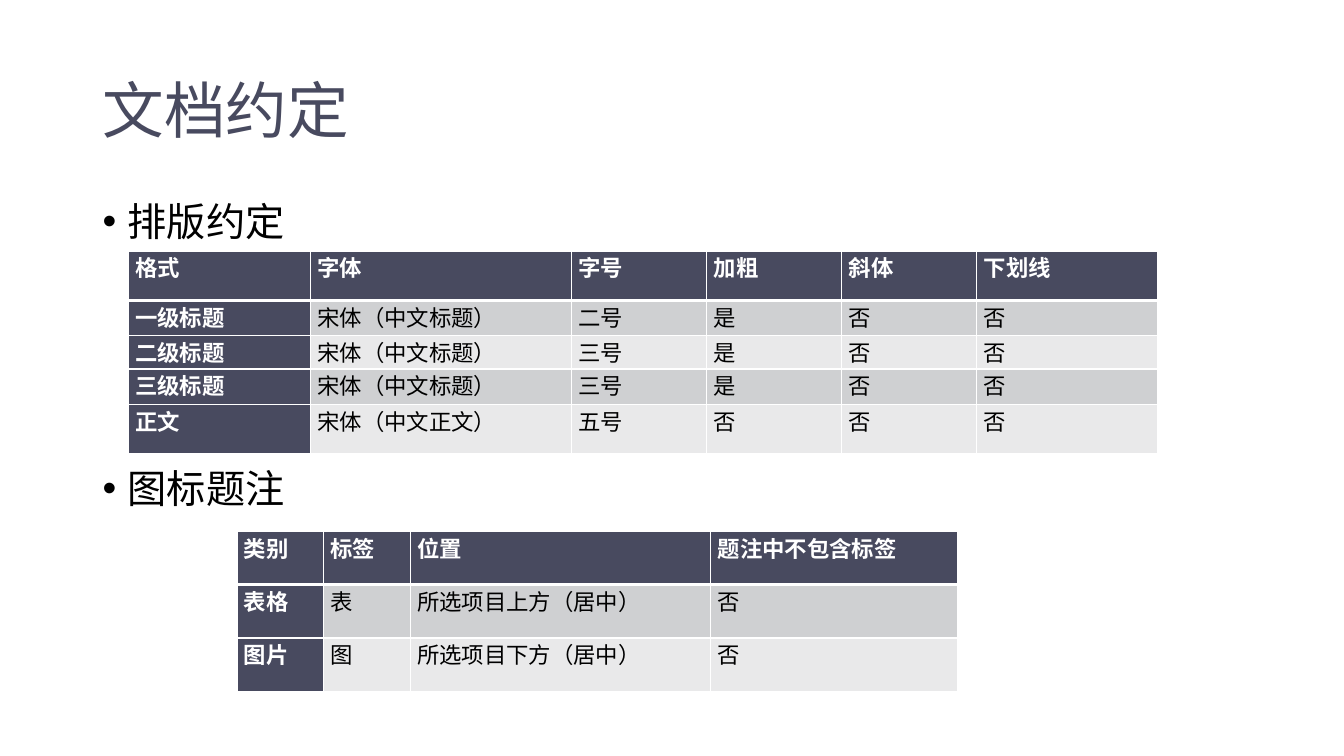
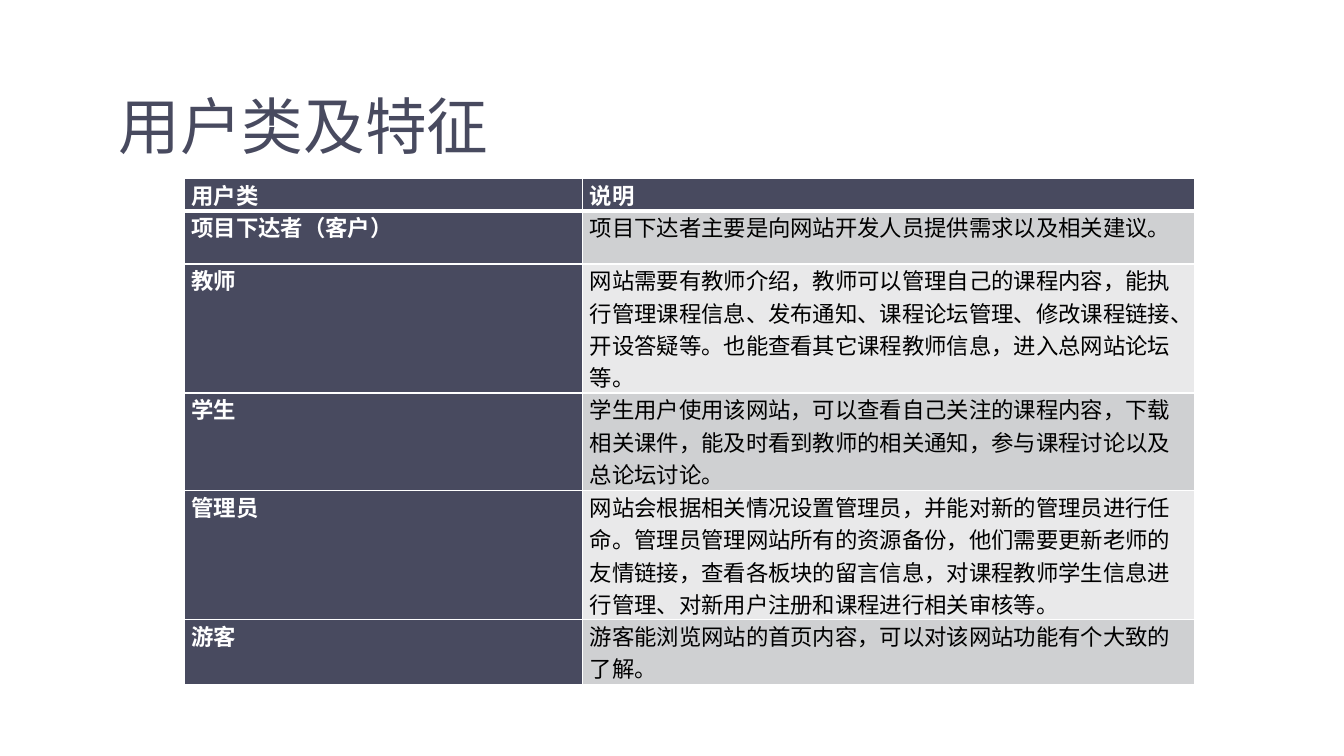
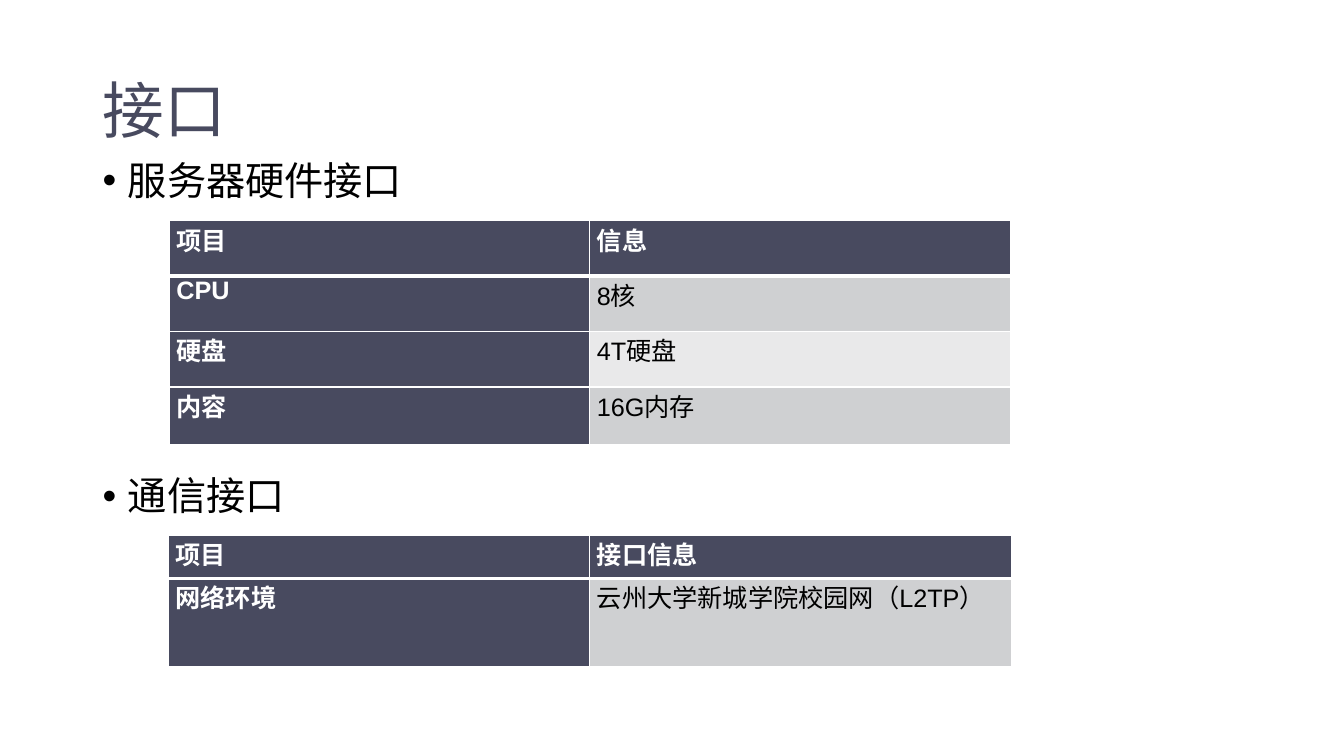
"""Build three requirement slides: conventions, user classes and interfaces."""
from lxml import etree
from pptx import Presentation
from pptx.dml.color import RGBColor
from pptx.enum.text import MSO_ANCHOR, PP_ALIGN
from pptx.oxml.ns import qn
from pptx.util import Inches, Pt

LEFT, JUSTIFY = PP_ALIGN.LEFT, PP_ALIGN.JUSTIFY
TOP, MIDDLE = MSO_ANCHOR.TOP, MSO_ANCHOR.MIDDLE
FONT = "Arial"
COLORS = {"slate": "484A5F", "black": "000000", "white": "FFFFFF",
          "band_dark": "CFD0D2", "band_light": "E9E9EA"}

CONVENTIONS = {
    "title": ("文档约定", 0.92, 0.4),
    "bullets": [("排版约定", 2, 2.14, 0.49, 0.8), ("图标题注", 4.65, 2.14, 0.49, 0.8)],
    "tables": [
        {"at": (1.27, 2.49), "size": 16, "align": JUSTIFY,
         "columns": (1.81, 2.59, 1.34, 1.34, 1.34, 1.79),
         "heights": (0.49, 0.35, 0.33, 0.35, 0.49),
         "rows": [("格式", "字体", "字号", "加粗", "斜体", "下划线"),
                  ("一级标题", "宋体（中文标题）", "二号", "是", "否", "否"),
                  ("二级标题", "宋体（中文标题）", "三号", "是", "否", "否"),
                  ("三级标题", "宋体（中文标题）", "三号", "是", "否", "否"),
                  ("正文", "宋体（中文正文）", "五号", "否", "否", "否")]},
        {"at": (2.35, 5.27), "size": 16, "align": JUSTIFY,
         "columns": (0.86, 0.86, 2.98, 2.45),
         "heights": (0.53, 0.53, 0.53),
         "rows": [("类别", "标签", "位置", "题注中不包含标签"),
                  ("表格", "表", "所选项目上方（居中）", "否"),
                  ("图片", "图", "所选项目下方（居中）", "否")]},
    ],
}
USER_CLASSES = {
    "title": ("用户类及特征", 1.08, 0.56),
    "bullets": [],
    "tables": [
        {"at": (1.83, 1.77), "size": 16, "align": LEFT,
         "columns": (3.95, 6.07),
         "heights": (0.32, 0.53, 1.28, 0.97, 1.28, 0.64),
         "rows": [
             ("用户类", "说明"),
             ("项目下达者（客户）", "项目下达者主要是向网站开发人员提供需求以及相关建议。"),
             ("教师", "网站需要有教师介绍，教师可以管理自己的课程内容，能执行管理课程信息、"
                    "发布通知、课程论坛管理、修改课程链接、开设答疑等。"
                    "也能查看其它课程教师信息，进入总网站论坛等。"),
             ("学生", "学生用户使用该网站，可以查看自己关注的课程内容，下载相关课件，"
                    "能及时看到教师的相关通知，参与课程讨论以及总论坛讨论。"),
             ("管理员", "网站会根据相关情况设置管理员，并能对新的管理员进行任命。"
                     "管理员管理网站所有的资源备份，他们需要更新老师的友情链接，"
                     "查看各板块的留言信息，对课程教师学生信息进行管理、"
                     "对新用户注册和课程进行相关审核等。"),
             ("游客", "游客能浏览网站的首页内容，可以对该网站功能有个大致的了解。")]},
    ],
}
INTERFACES = {
    "title": ("接口", 0.92, 0.4),
    "bullets": [("服务器硬件接口", 1.55, 3.41, 0.64, 0.9), ("通信接口", 4.68, 3.41, 0.64, 0.9)],
    "tables": [
        {"at": (1.68, 2.19), "size": 18, "align": JUSTIFY,
         "columns": (4.17, 4.17),
         "heights": (0.55, 0.55, 0.55, 0.57),
         "rows": [("项目", "信息"), ("CPU", "8核"), ("硬盘", "4T硬盘"), ("内容", "16G内存")]},
        {"at": (1.67, 5.31), "size": 18, "align": JUSTIFY,
         "columns": (4.18, 4.18),
         "heights": (0.43, 0.87),
         "rows": [("项目", "接口信息"), ("网络环境", "云州大学新城学院校园网（L2TP）")]},
    ],
}


def rgb(name):
    return RGBColor.from_string(COLORS[name])


def style(paragraph, size, color, bold=False):
    font = paragraph.font
    font.name, font.size, font.bold = FONT, Pt(size), bold
    font.color.rgb = rgb(color)


def add_line(slide, text, box, size, color, anchor, spacing):
    frame = slide.shapes.add_textbox(*map(Inches, box)).text_frame
    frame.word_wrap = True
    frame.vertical_anchor = anchor
    line = frame.paragraphs[0]
    line.text = text
    line.line_spacing = spacing
    style(line, size, color)
    return line


def add_title(slide, text, left, top):
    add_line(slide, text, (left, top, 11.5, 1.45), 44, "slate", MIDDLE, 0.9)


def add_bullet(slide, text, top, width, height, spacing):
    line = add_line(slide, text, (0.92, top, width, height), 28, "black", TOP, spacing)
    line.space_before = Pt(10)
    properties = line._p.get_or_add_pPr()
    properties.set("marL", str(Inches(0.25)))
    properties.set("indent", str(Inches(-0.25)))
    etree.SubElement(properties, qn("a:buFont"), typeface=FONT)
    etree.SubElement(properties, qn("a:buChar"), char="•")


def add_borders(cell, top, bottom):
    properties = cell._tc.get_or_add_tcPr()
    for side, width in (("L", 1), ("R", 1), ("T", top), ("B", bottom)):
        edge = etree.SubElement(properties, qn(f"a:ln{side}"), w=str(Pt(width)))
        fill = etree.SubElement(edge, qn("a:solidFill"))
        etree.SubElement(fill, qn("a:srgbClr"), val=COLORS["white"])


def add_grid(slide, at, size, align, columns, heights, rows):
    box = (*at, sum(columns), sum(heights))
    grid = slide.shapes.add_table(len(rows), len(columns), *map(Inches, box)).table
    grid.first_col = True
    for column, width in zip(grid.columns, columns):
        column.width = Inches(width)
    for r, (height, texts) in enumerate(zip(heights, rows)):
        grid.rows[r].height = Inches(height)
        for c, text in enumerate(texts):
            heading = r == 0 or c == 0
            band = "band_dark" if r % 2 else "band_light"
            cell = grid.cell(r, c)
            cell.margin_left = cell.margin_right = Inches(0.07)
            cell.margin_top = cell.margin_bottom = 0
            add_borders(cell, 3 if r == 1 else 1, 3 if r == 0 else 1)
            cell.fill.solid()
            cell.fill.fore_color.rgb = rgb("slate" if heading else band)
            line = cell.text_frame.paragraphs[0]
            line.text = text
            line.alignment = align
            style(line, size, "white" if heading else "black", heading)


deck = Presentation()
deck.slide_width, deck.slide_height = Inches(13.33), Inches(7.5)
for page in (CONVENTIONS, USER_CLASSES, INTERFACES):
    slide = deck.slides.add_slide(deck.slide_layouts[6])
    add_title(slide, *page["title"])
    for bullet in page["bullets"]:
        add_bullet(slide, *bullet)
    for table in page["tables"]:
        add_grid(slide, **table)
deck.save("out.pptx")
